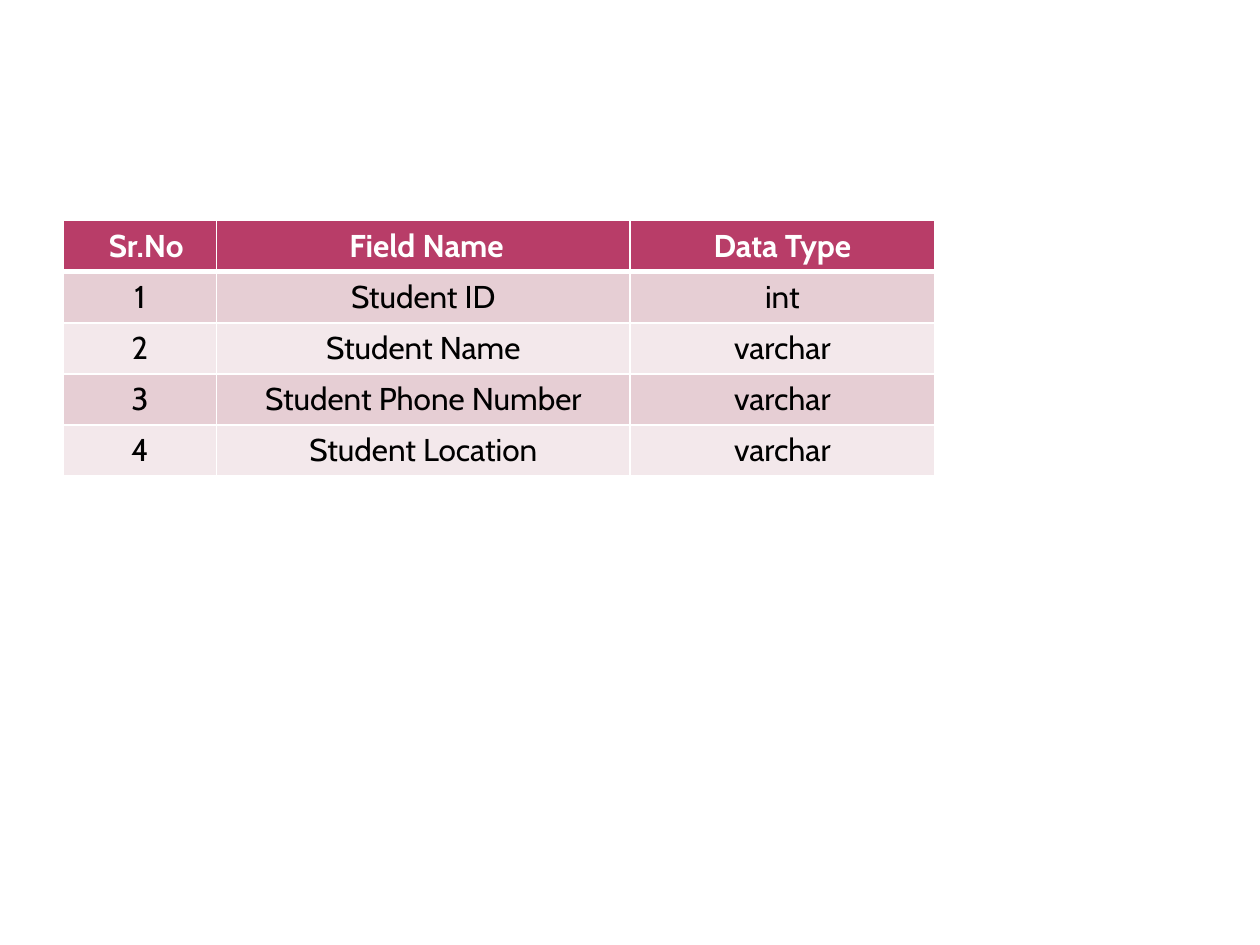
import pptx
import pptx.util
import pptx.oxml
import pptx.oxml.ns
import pptx.dml.color
import pptx.enum.text
from dataclasses import dataclass


@dataclass(frozen=True)
class Theme:
    font: str = "Cabin"
    size: int = 18
    head: str = "B83D68"
    bands: tuple = ("E6CED4", "F3E8EB")
    light: str = "FFFFFF"
    dark: str = "000000"
    thin: int = 1
    thick: int = 3


THEME = Theme()
WIDE, HIGH = 10, 7.5
LEFT, TOP = 0.5, 1.75
COLS = (1.22, 3.28, 2.42)
DEPTH = 2.03
PAD = 0.1
SHIFTS = (0.1, 0.05, 0)
ROWS = (
    ("Sr.No", "Field Name", "Data Type"),
    ("1", "Student ID", "int"),
    ("2", "Student Name", "varchar"),
    ("3", "Student Phone Number", "varchar"),
    ("4", "Student Location", "varchar"),
)


def inch(size):
    return pptx.util.Inches(size)


def tint(code):
    return pptx.dml.color.RGBColor.from_string(code)


def apply(target, values):
    for name, value in values.items():
        setattr(target, name, value)


def edge(cell, side, width):
    line = pptx.oxml.parse_xml(
        f'<a:ln{side} {pptx.oxml.ns.nsdecls("a")} w="{pptx.util.Pt(width)}">'
        f'<a:solidFill><a:srgbClr val="{THEME.light}"/></a:solidFill>'
        f'</a:ln{side}>'
    )
    cell._tc.get_or_add_tcPr().append(line)


def style(cell, text, row, col):
    head = row == 0
    for side in "LRTB":
        heavy = (head and side == "B") or (row == 1 and side == "T")
        edge(cell, side, THEME.thick if heavy else THEME.thin)
    cell.fill.solid()
    cell.fill.fore_color.rgb = tint(THEME.head if head else THEME.bands[(row - 1) % 2])
    shift = SHIFTS[col] if head else 0
    apply(cell, {"text": text, "margin_left": inch(PAD + shift), "margin_right": inch(PAD)})
    para = cell.text_frame.paragraphs[0]
    para.alignment = pptx.enum.text.PP_ALIGN.CENTER
    font = para.runs[0].font
    apply(font, {"name": THEME.font, "size": pptx.util.Pt(THEME.size), "bold": head})
    font.color.rgb = tint(THEME.light if head else THEME.dark)


def grid(slide):
    box = [inch(part) for part in (LEFT, TOP, sum(COLS), DEPTH)]
    table = slide.shapes.add_table(len(ROWS), len(COLS), *box).table
    for col, width in zip(table.columns, COLS):
        col.width = inch(width)
    for row, texts in enumerate(ROWS):
        for col, text in enumerate(texts):
            style(table.cell(row, col), text, row, col)


def main():
    deck = pptx.Presentation()
    apply(deck, {"slide_width": inch(WIDE), "slide_height": inch(HIGH)})
    grid(deck.slides.add_slide(deck.slide_layouts[6]))
    deck.save("out.pptx")


if __name__ == "__main__":
    main()
